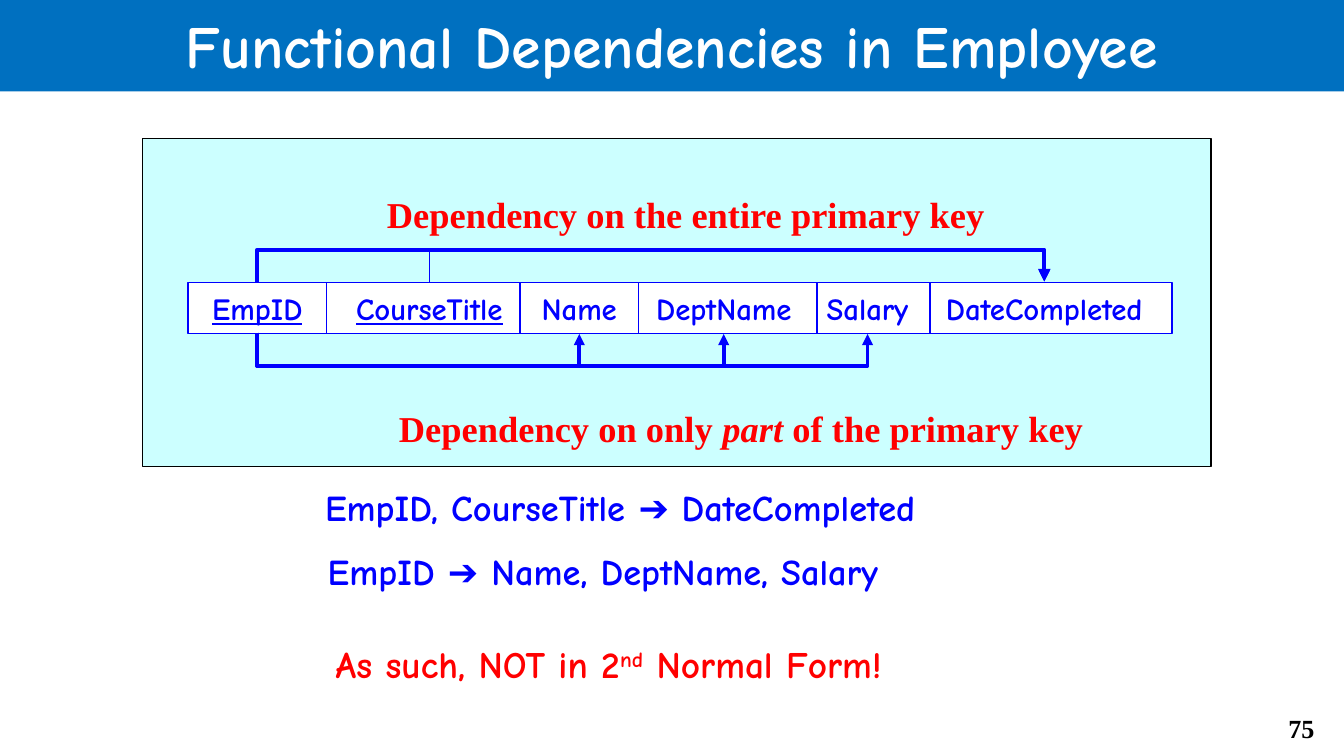
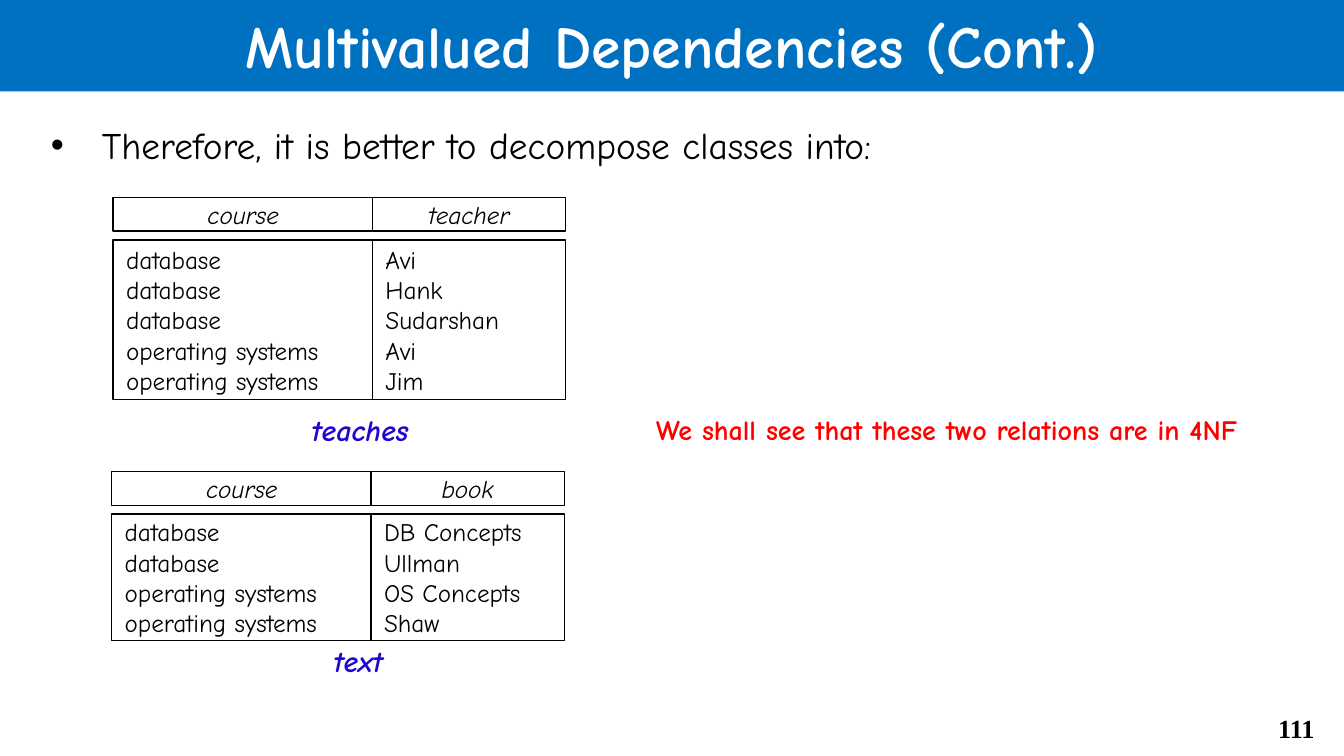
from lxml import etree
from pptx import Presentation
from pptx.dml.color import RGBColor
from pptx.enum.shapes import MSO_CONNECTOR, MSO_SHAPE
from pptx.enum.text import MSO_ANCHOR, MSO_AUTO_SIZE, PP_ALIGN
from pptx.oxml.ns import qn
from pptx.util import Inches, Pt

RECT, ELBOW = MSO_SHAPE.RECTANGLE, MSO_CONNECTOR.ELBOW
LEFT, CENTER, RIGHT = PP_ALIGN.LEFT, PP_ALIGN.CENTER, PP_ALIGN.RIGHT
TOP, MIDDLE = MSO_ANCHOR.TOP, MSO_ANCHOR.MIDDLE
FIT_SHAPE, FIT_NONE = MSO_AUTO_SIZE.SHAPE_TO_FIT_TEXT, MSO_AUTO_SIZE.NONE

COMIC, TIMES = "Comic Neue", "Times New Roman"
WHITE, BLACK, BAND = "FFFFFF", "000000", "0070C0"
BLUE, RED, INDIGO, CYAN = "0000FF", "FF0000", "1F07CF", "CCFFFF"

TITLE = dict(name=COMIC, size=Pt(32), bold=True, color=WHITE)
NUMBER = dict(name=TIMES, size=Pt(14), bold=True, color=BLACK)
FIELD = dict(name=COMIC, size=Pt(16.5), bold=True, color=BLUE)
KEY_FIELD = {**FIELD, "underline": True}
CAPTION = dict(name=TIMES, size=Pt(19.5), bold=True, color=RED)
RULE = {**FIELD, "size": Pt(19.5)}
VERDICT = {**RULE, "size": Pt(20), "color": RED}
BODY = dict(name=COMIC, size=Pt(20), color=BLACK)
CELL = {**BODY, "size": Pt(13.5)}
HEADING = {**CELL, "italic": True}
RELATION = dict(name=COMIC, size=Pt(16), bold=True, italic=True, color=INDIGO)
REMARK = dict(name=COMIC, size=Pt(15), bold=True, color=RED)


def rgb(value):
    return RGBColor.from_string(value)


class Deck:
    """Places elements on a grid of 100 columns by 56.25 rows."""

    def __init__(self):
        self.prs = Presentation()
        self.prs.slide_width, self.prs.slide_height = Inches(10), Inches(5.625)
        self.col = self.prs.slide_width / 100
        self.row = self.prs.slide_height / 56.25
        self.shapes = None

    def place(self, left, top, width, height):
        return (round(left * self.col), round(top * self.row),
                round(width * self.col), round(height * self.row))

    def start_slide(self, title, number):
        self.shapes = self.prs.slides.add_slide(self.prs.slide_layouts[6]).shapes
        self.text((92.5, 52.5, 6.3, 3.4), [number], NUMBER, align=RIGHT)
        self.box((0, -0.2, 100, 7), BAND, None, [title], TITLE)

    def fill_text(self, shape, paragraphs, style, align=LEFT, anchor=TOP,
                  wrap=True, fit=FIT_NONE):
        """Each paragraph is a string or a list of (string, changes to the style)."""
        frame = shape.text_frame
        settings = dict(word_wrap=wrap, auto_size=fit, vertical_anchor=anchor)
        for key, value in settings.items():
            setattr(frame, key, value)
        for index, content in enumerate(paragraphs):
            paragraph = frame.paragraphs[0] if index == 0 else frame.add_paragraph()
            paragraph.alignment = align
            runs = [(content, {})] if isinstance(content, str) else content
            for words, changes in runs:
                run = paragraph.add_run()
                run.text = words
                for key, value in {**style, **changes}.items():
                    if key == "color":
                        run.font.color.rgb = rgb(value)
                    elif key == "baseline":
                        run._r.get_or_add_rPr().set("baseline", str(value))
                    else:
                        setattr(run.font, key, value)
        return shape

    def text(self, area, paragraphs, style, **layout):
        return self.fill_text(self.shapes.add_textbox(*self.place(*area)),
                              paragraphs, style, **layout)

    def label(self, area, content, style, **layout):
        """One unwrapped line whose box fits the words."""
        return self.text(area, [content], style, wrap=False, fit=FIT_SHAPE, **layout)

    def box(self, area, fill, line, paragraphs=(), style=None, align=CENTER, wrap=True):
        shape = self.shapes.add_shape(RECT, *self.place(*area))
        shape.shadow.inherit = False
        shape.fill.solid()
        shape.fill.fore_color.rgb = rgb(fill)
        if line:
            shape.line.color.rgb = rgb(line)
            shape.line.width = Pt(0.75)
        else:
            shape.line.fill.background()
        return self.fill_text(shape, paragraphs, style, align, MIDDLE, wrap)

    def bullet(self, area, words, style):
        shape = self.text(area, [words], style)
        properties = shape.text_frame.paragraphs[0]._p.get_or_add_pPr()
        properties.set("marL", str(Inches(0.38)))
        properties.set("indent", str(-Inches(0.38)))
        etree.SubElement(properties, qn("a:buFont"), typeface="Arial")
        etree.SubElement(properties, qn("a:buChar"), char="•")

    def bracket(self, source, target, above, width):
        """U-shaped arrow between two boxes, over or under them."""
        start, end = (box.left + box.width // 2 for box in (source, target))
        depth, thin = 2.5 * self.row, 0.1 * self.col
        middle = (start + end) / 2
        edge = source.top if above else source.top + source.height
        left, right = round(middle - thin / 2), round(middle + thin / 2)
        top, bottom = (round(edge + sign * (end - start) / 2) for sign in (-1, 1))
        ends = (right, bottom, left, top) if above else (right, top, left, bottom)
        arrow = self.shapes.add_connector(ELBOW, *ends)
        arrow.line.color.rgb = rgb(BLUE)
        arrow.line.width = Pt(width)
        properties = arrow._element.spPr
        turn = 90 if above else 270
        properties.find(qn("a:xfrm")).set("rot", str(turn * 60000))
        guides = properties.find(qn("a:prstGeom")).find(qn("a:avLst"))
        etree.SubElement(guides, qn("a:gd"), name="adj1",
                         fmla=f"val {round(depth / thin * 100000)}")
        etree.SubElement(properties.find(qn("a:ln")), qn("a:tailEnd"), type="triangle")
        etree.SubElement(properties, qn("a:effectLst"))

    def relation(self, left, top, headings, rows, body_height):
        """Header strip and, below a gap, one box for each column's values."""
        lefts, widths = (left, left + 19.3), (19.4, 14.4)
        for x, width, heading in zip(lefts, widths, headings):
            self.box((x, top, width, 2.5), WHITE, BLACK, [heading], HEADING, wrap=False)
        for x, width, values in zip(lefts, widths, zip(*rows)):
            self.box((x, top + 3.15, width, body_height), WHITE, BLACK,
                     values, CELL, align=LEFT, wrap=False)


def employee_slide(deck):
    deck.start_slide("Functional Dependencies in Employee", "75")
    deck.box((10.6, 10.3, 79.5, 24.4), CYAN, BLACK)
    # Neighbours overlap, so the stacking order decides which edge shows.
    columns = [
        ("EmpID", 14, 10.3, KEY_FIELD),
        ("CourseTitle", 24.3, 15.3, KEY_FIELD),
        ("DateCompleted", 68.2, 19, FIELD),
        ("Salary", 59.9, 9.3, FIELD),
        ("DeptName", 46.9, 13.9, FIELD),
        ("Name", 38.7, 8.8, FIELD),
    ]
    fields = {name: deck.box((left, 21, width, 3.8), WHITE, BLUE, [name], style)
              for name, left, width, style in columns}

    deck.label((27.8, 13.8, 46.8, 4.3), "Dependency on the entire primary key", CAPTION)
    deck.label((28.7, 29.7, 53.3, 4.3),
               [("Dependency on only ", {}), ("part", {"italic": True}),
                (" of the primary key", {})], CAPTION)

    for key, width in (("EmpID", 2.25), ("CourseTitle", 0.75)):
        deck.bracket(fields[key], fields["DateCompleted"], True, width)
    for dependent in ("Name", "DeptName", "Salary"):
        deck.bracket(fields["EmpID"], fields[dependent], False, 2)

    deck.label((23.2, 35.6, 53.2, 4.3), "EmpID, CourseTitle ➔ DateCompleted", RULE)
    deck.label((23.4, 40.4, 50.4, 4.3), "EmpID ➔ Name, DeptName, Salary", RULE)
    deck.label((24, 47.2, 49.3, 4.4),
               [("As such, NOT in 2", {}), ("nd", {"baseline": 30000}),
                (" Normal Form!", {})], VERDICT)


def multivalued_slide(deck):
    deck.start_slide("Multivalued Dependencies (Cont.)", "111")
    deck.bullet((2.8, 8.6, 93.7, 41.6),
                "Therefore, it is better to decompose classes into:", BODY)

    teaches = [("database", "Avi"), ("database", "Hank"), ("database", "Sudarshan"),
               ("operating systems", "Avi"), ("operating systems", "Jim")]
    deck.relation(8.4, 14.7, ("course", "teacher"), teaches, 11.9)
    deck.label((21.6, 30.1, 10.4, 3.7), "teaches", RELATION, align=CENTER, anchor=MIDDLE)

    books = [("database", "DB Concepts"), ("database", "Ullman"),
             ("operating systems", "OS Concepts"), ("operating systems", "Shaw")]
    deck.relation(8.3, 35.1, ("course", "book"), books, 9.4)
    deck.label((23.3, 47.3, 6.7, 3.7), "text", RELATION, align=CENTER, anchor=MIDDLE)

    deck.text((43.7, 30.2, 53.5, 3.4),
              ["We shall see that these two relations are in 4NF"], REMARK, align=CENTER)


def main():
    deck = Deck()
    employee_slide(deck)
    multivalued_slide(deck)
    deck.prs.save("out.pptx")


if __name__ == "__main__":
    main()
